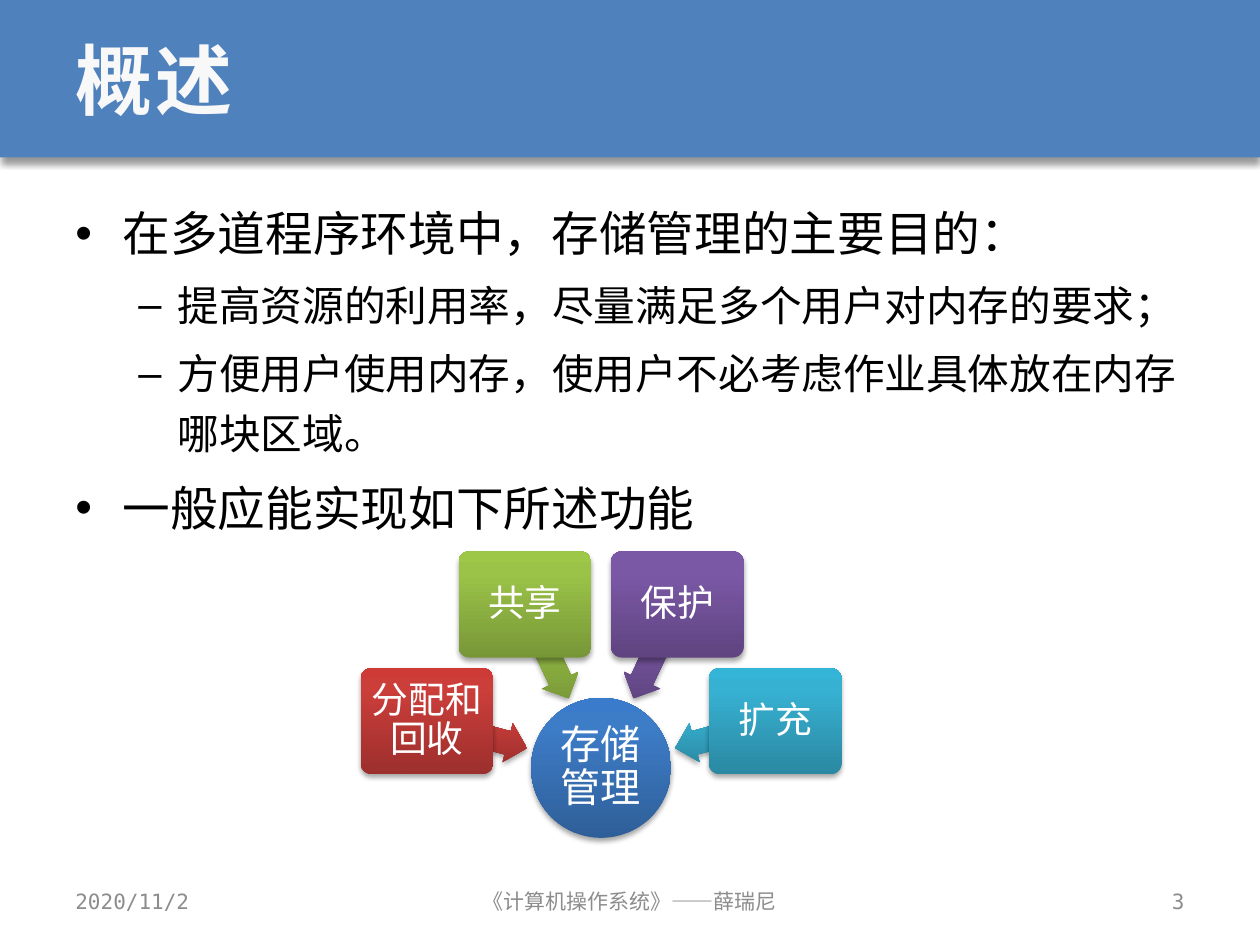
"""Build the storage management overview slide."""
from copy import deepcopy
from dataclasses import dataclass
from math import cos, radians, sin

from lxml import etree
from pptx import Presentation
from pptx.dml.color import RGBColor
from pptx.enum.shapes import MSO_SHAPE
from pptx.enum.text import MSO_ANCHOR, MSO_AUTO_SIZE, PP_ALIGN
from pptx.oxml.ns import qn
from pptx.util import Pt

RECT, ROUNDED, OVAL, ARROW = (MSO_SHAPE.RECTANGLE, MSO_SHAPE.ROUNDED_RECTANGLE,
                              MSO_SHAPE.OVAL, MSO_SHAPE.LEFT_ARROW)
TOP, MIDDLE = MSO_ANCHOR.TOP, MSO_ANCHOR.MIDDLE
LEFT, CENTER, RIGHT = PP_ALIGN.LEFT, PP_ALIGN.CENTER, PP_ALIGN.RIGHT
NO_FIT = MSO_AUTO_SIZE.NONE


@dataclass(frozen=True)
class Theme:
    """Colours, fonts and type sizes."""
    font: str = "DejaVu Sans Mono"
    diagram_font: str = "Arial"
    band: str = "4F81BD"
    title: str = "F8F8F8"
    text: str = "000000"
    footer: str = "8C8C8C"
    label: str = "FFFFFF"
    blue: tuple = ("2F5F99", "3D7CC7", "3A7CCB")
    red: tuple = ("9C2F2D", "CB3E3A", "CE3B37")
    green: tuple = ("779737", "9BC348", "9DC746")
    purple: tuple = ("5F4480", "7B58A6", "7C57A8")
    teal: tuple = ("2A88A2", "37B1D2", "34B4D6")
    title_size: float = 44
    level_sizes: tuple = (27.2, 23.8)
    footer_size: float = 12
    hub_size: float = 23
    function_size: float = 21


def apply(target, values):
    """Set each attribute in values on target."""
    for name, value in values.items():
        setattr(target, name, value)


class SlideBuilder:
    """Draws styled elements on the current slide."""

    def __init__(self, slide, theme):
        self.slide = slide
        self.theme = theme

    def frame(self, shape, anchor, inset=None):
        """Set up wrapping, anchor and insets."""
        apply(shape.text_frame, {"word_wrap": True, "auto_size": NO_FIT,
                                 "vertical_anchor": anchor})
        if inset is not None:
            sides = ("left", "right", "top", "bottom")
            apply(shape.text_frame, {f"margin_{side}": Pt(inset) for side in sides})
        return shape.text_frame

    def add_text(self, paragraph, text, size, color, font=None, bold=False, **layout):
        """Add one formatted run and return it."""
        apply(paragraph, layout)
        run = paragraph.add_run()
        run.text = text
        apply(run.font, {"size": Pt(size), "name": font or self.theme.font, "bold": bold})
        run.font.color.rgb = RGBColor.from_string(color)
        return run

    def shadow(self, shape, blur, distance, alpha):
        """Cast a soft shadow straight down."""
        shape.shadow.inherit = False
        effects = shape._element.spPr.find(qn("a:effectLst"))
        outer = etree.SubElement(effects, qn("a:outerShdw"), blurRad=str(Pt(blur)),
                                 dist=str(Pt(distance)), dir="5400000", rotWithShape="0")
        black = etree.SubElement(outer, qn("a:srgbClr"), val="000000")
        etree.SubElement(black, qn("a:alpha"), val=str(alpha * 1000))

    def title(self, text, height):
        """Fill the title placeholder over a full-width band."""
        band = self.slide.shapes.add_shape(RECT, 0, 0, Pt(720), Pt(height))
        band.fill.solid()
        band.fill.fore_color.rgb = RGBColor.from_string(self.theme.band)
        band.line.fill.background()
        self.shadow(band, 4, 3, 40)
        heading = self.slide.shapes.title
        heading._element.addprevious(band._element)
        apply(heading, {"left": Pt(36), "top": Pt(0), "width": Pt(648), "height": Pt(height)})
        run = self.add_text(self.frame(heading, MIDDLE).paragraphs[0], text,
                            self.theme.title_size, self.theme.title, bold=True, alignment=LEFT)
        run._r.get_or_add_rPr().set("spc", "150")

    def bullets(self, items, left, top, width, height):
        """Add a two-level bulleted list."""
        box = self.slide.shapes.add_textbox(Pt(left), Pt(top), Pt(width), Pt(height))
        frame = self.frame(box, TOP)
        markers = (("•", 27, 27), ("–", 58.5, 22.5))
        for index, (level, text) in enumerate(items):
            paragraph = frame.add_paragraph() if index else frame.paragraphs[0]
            marker, margin, hanging = markers[level]
            properties = paragraph._p.get_or_add_pPr()
            properties.set("marL", str(Pt(margin)))
            properties.set("indent", str(-Pt(hanging)))
            etree.SubElement(properties, qn("a:buFont"), typeface="Arial")
            etree.SubElement(properties, qn("a:buChar"), char=marker)
            size = self.theme.level_sizes[level]
            self.add_text(paragraph, text, size, self.theme.text, level=level, line_spacing=1.2,
                          space_before=Pt(round(size * 0.2, 1) if index else 0))

    def footer(self, text, left, width, alignment):
        """Add one footer field."""
        box = self.slide.shapes.add_textbox(Pt(left), Pt(500.5), Pt(width), Pt(28.75))
        self.add_text(self.frame(box, MIDDLE).paragraphs[0], text, self.theme.footer_size,
                      self.theme.footer, alignment=alignment)

    def node(self, kind, center, size, colors, adjustments=(), rotation=0):
        """Draw a gradient shape around a centre point."""
        (x, y), (width, height) = center, size
        shape = self.slide.shapes.add_shape(kind, Pt(x - width / 2), Pt(y - height / 2),
                                            Pt(width), Pt(height))
        for index, value in enumerate(adjustments):
            shape.adjustments[index] = value
        shape.rotation = rotation
        shape.fill.gradient()
        shape.fill.gradient_angle = 90
        gradient = shape._element.spPr.find(qn("a:gradFill"))
        gradient.set("rotWithShape", "0")
        first = gradient.find(qn("a:gsLst"))[0]
        first.addnext(deepcopy(first))
        for stop, position, color in zip(shape.fill.gradient_stops, (0, 0.8, 1), colors):
            stop.position = position
            stop.color.rgb = RGBColor.from_string(color)
        shape.line.fill.background()
        self.shadow(shape, 3.1, 1.8, 35)
        return shape

    def label(self, shape, text, size, inset):
        """Centre a label in a diagram shape."""
        self.add_text(self.frame(shape, MIDDLE, inset).paragraphs[0], text, size,
                      self.theme.label, self.theme.diagram_font,
                      alignment=CENTER, line_spacing=0.9)

    def radial(self, hub_text, functions, hub):
        """Draw functions on an arc, each pointing at the hub."""
        circle = self.node(OVAL, hub, (80, 80), self.theme.blue)
        self.label(circle, hub_text, self.theme.hub_size, 1.2)
        for index, (text, colors) in enumerate(functions):
            angle = 195 + 50 * index
            across, down = cos(radians(angle)), sin(radians(angle))
            arrow_center, box_center = ((hub[0] + reach * across, hub[1] + reach * down)
                                        for reach in (73.3, 103))
            self.node(ARROW, arrow_center, (59, 23), colors, (0.6, 0.5), angle)
            box = self.node(ROUNDED, box_center, (75.8, 60.6), colors, (0.1,))
            self.label(box, text, self.theme.function_size, 2.9)


def main():
    """Build and save the slide."""
    presentation = Presentation()
    apply(presentation, {"slide_width": Pt(720), "slide_height": Pt(540)})
    theme = Theme()
    builder = SlideBuilder(presentation.slides.add_slide(presentation.slide_layouts[5]), theme)
    builder.title("概述", 90)
    builder.bullets([
        (0, "在多道程序环境中，存储管理的主要目的："),
        (1, "提高资源的利用率，尽量满足多个用户对内存的要求；"),
        (1, "方便用户使用内存，使用户不必考虑作业具体放在内存哪块区域。"),
        (0, "一般应能实现如下所述功能"),
    ], 36, 106.5, 648, 209)
    builder.footer("2020/11/2", 36, 168, LEFT)
    builder.footer("《计算机操作系统》——薛瑞尼", 246, 228, CENTER)
    builder.footer("3", 516, 168, RIGHT)
    builder.radial("存储管理", [
        ("分配和回收", theme.red),
        ("共享", theme.green),
        ("保护", theme.purple),
        ("扩充", theme.teal),
    ], (343.5, 438.8))
    presentation.save("out.pptx")


if __name__ == "__main__":
    main()
